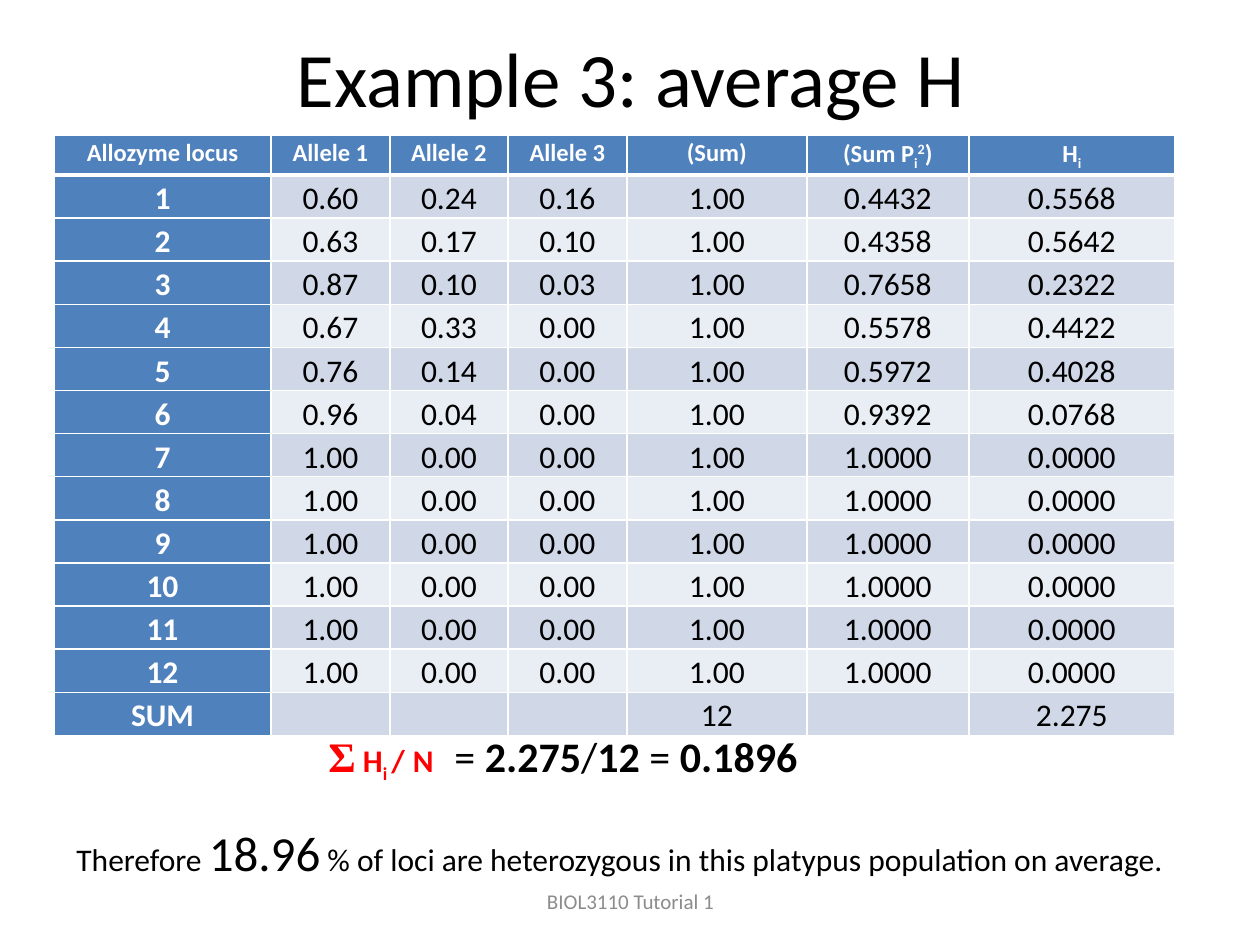
"""Build the slide that works out average heterozygosity over twelve loci."""
from lxml.etree import SubElement
from pptx import Presentation
from pptx.dml.color import RGBColor
from pptx.enum.text import MSO_ANCHOR as Anchor, MSO_AUTO_SIZE as AutoSize, PP_ALIGN as Align
from pptx.oxml.ns import qn
from pptx.util import Emu, Pt

COLORS = {"text": "000000", "white": "FFFFFF", "header": "4F81BD", "odd": "D0D8E8",
          "even": "E9EDF4", "accent": "FF0000", "footer": "8C8C8C"}
FONT, SYMBOL_FONT = "Calibri", "Times New Roman"
COLUMN_WIDTHS = [217, 119, 118, 119, 180, 162, 206]
ROW_HEIGHT = 40
ROW_SPACING = 1.12
HEADINGS = ["Allozyme locus", "Allele 1", "Allele 2", "Allele 3", "(Sum)",
            [("(Sum P", {}), ("i", {"baseline": -25}), ("2", {"baseline": 30}), (")", {})],
            [("H", {}), ("i", {"baseline": -25})]]
LOCI = [
    ["0.60", "0.24", "0.16", "1.00", "0.4432", "0.5568"],
    ["0.63", "0.17", "0.10", "1.00", "0.4358", "0.5642"],
    ["0.87", "0.10", "0.03", "1.00", "0.7658", "0.2322"],
    ["0.67", "0.33", "0.00", "1.00", "0.5578", "0.4422"],
    ["0.76", "0.14", "0.00", "1.00", "0.5972", "0.4028"],
    ["0.96", "0.04", "0.00", "1.00", "0.9392", "0.0768"],
] + [["1.00", "0.00", "0.00", "1.00", "1.0000", "0.0000"]] * 6
TOTALS = ["SUM", "", "", "", "12", "", "2.275"]


def px(value):
    return Emu(round(value * 914400 / 126))


def add_run(paragraph, text, size=18, color="text", bold=False, font=FONT, baseline=0):
    run = paragraph.add_run()
    run.text = text
    run.font.size, run.font.bold, run.font.name = Pt(size), bold, font
    run.font.color.rgb = RGBColor.from_string(COLORS[color])
    if baseline:
        run.font._element.set("baseline", str(baseline * 1000))


def write(paragraph, content, align=Align.LEFT, spacing=None, before=0, indent=0, **style):
    paragraph.alignment = align
    paragraph.line_spacing = spacing
    paragraph.space_before = Pt(before)
    if indent:
        properties = paragraph._p.get_or_add_pPr()
        properties.set("marL", str(px(indent)))
        properties.set("indent", "0")
    runs = [(content, {})] if isinstance(content, str) else content
    for text, changes in runs:
        if text:
            add_run(paragraph, text, **{**style, **changes})


class SlideBuilder:
    def __init__(self, presentation):
        self.slide = presentation.slides.add_slide(presentation.slide_layouts[5])

    def title(self, text, left, top, width, height):
        shape = self.slide.shapes.title
        shape.left, shape.top, shape.width, shape.height = map(px, (left, top, width, height))
        shape.text_frame.vertical_anchor = Anchor.MIDDLE
        write(shape.text_frame.paragraphs[0], text, align=Align.CENTER, size=44)

    def text_box(self, left, top, width, height, paragraphs, anchor=Anchor.TOP):
        frame = self.slide.shapes.add_textbox(*map(px, (left, top, width, height))).text_frame
        frame.word_wrap, frame.vertical_anchor = True, anchor
        frame.auto_size = AutoSize.NONE
        for index, (content, style) in enumerate(paragraphs):
            paragraph = frame.add_paragraph() if index else frame.paragraphs[0]
            write(paragraph, content, **style)

    def borders(self, cell, top, bottom):
        properties = cell._tc.get_or_add_tcPr()
        for side, width in (("L", 1), ("R", 1), ("T", top), ("B", bottom)):
            line = SubElement(properties, qn(f"a:ln{side}"), w=str(Pt(width)))
            fill = SubElement(line, qn("a:solidFill"))
            SubElement(fill, qn("a:srgbClr"), val=COLORS["white"])

    def cell(self, cell, content, row, column):
        heading = row == 0 or column == 0
        self.borders(cell, top=3 if row == 1 else 1, bottom=3 if row == 0 else 1)
        cell.margin_left = cell.margin_right = px(9)
        cell.margin_top = cell.margin_bottom = 0
        cell.fill.solid()
        band = "odd" if row % 2 else "even"
        cell.fill.fore_color.rgb = RGBColor.from_string(COLORS["header" if heading else band])
        write(cell.text_frame.paragraphs[0], content, align=Align.CENTER, spacing=ROW_SPACING,
              size=14 if row == 0 else 18, color="white" if heading else "text", bold=heading)

    def table(self, left, top, widths, row_height, rows):
        table = self.slide.shapes.add_table(
            len(rows), len(widths), px(left), px(top),
            px(sum(widths)), px(row_height * len(rows))).table
        for column, width in zip(table.columns, widths):
            column.width = px(width)
        for row, contents in enumerate(rows):
            table.rows[row].height = px(row_height)
            for column, content in enumerate(contents):
                self.cell(table.cell(row, column), content, row, column)


def main():
    presentation = Presentation()
    presentation.slide_width, presentation.slide_height = px(1260), px(945)
    builder = SlideBuilder(presentation)
    builder.title("Example 3: average H", 64, -2, 1134, 157)

    red = {"color": "accent", "bold": True}
    plain, strong = {"size": 24}, {"size": 24, "bold": True}
    formula = [("Σ", {**red, "size": 24, "font": SYMBOL_FONT}), (" H", red),
               ("i ", {**red, "baseline": -25}), ("/", red), (" ", {**red, "size": 20}),
               ("N\t", red), ("= ", plain), ("2.275", strong), ("/", plain),
               ("12", strong), (" = ", plain), ("0.1896", strong)]
    conclusion = [("Therefore ", {}), ("18.96", {"size": 28}),
                  (" % of loci are heterozygous in this platypus population on average.", {})]
    builder.text_box(64, 724, 1142, 161,
                     [(formula, {"indent": 252}), (conclusion, {"before": 22})])

    loci = [[str(number), *values] for number, values in enumerate(LOCI, 1)]
    builder.table(54, 135, COLUMN_WIDTHS, ROW_HEIGHT, [HEADINGS, *loci, TOTALS])
    builder.text_box(431, 876, 399, 50, [("BIOL3110 Tutorial 1", {
        "align": Align.CENTER, "size": 12, "color": "footer"})], anchor=Anchor.MIDDLE)
    presentation.save("out.pptx")


if __name__ == "__main__":
    main()
